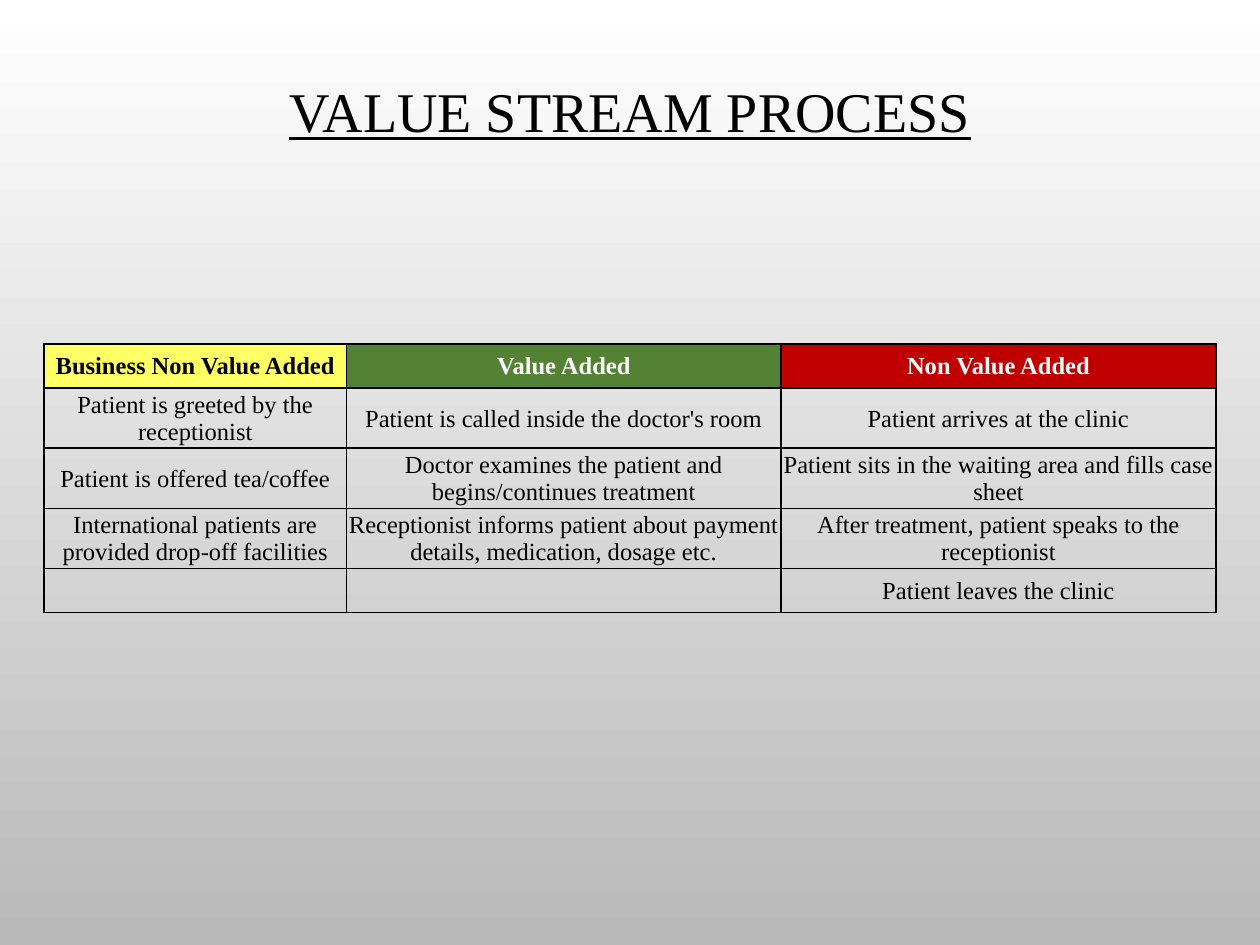
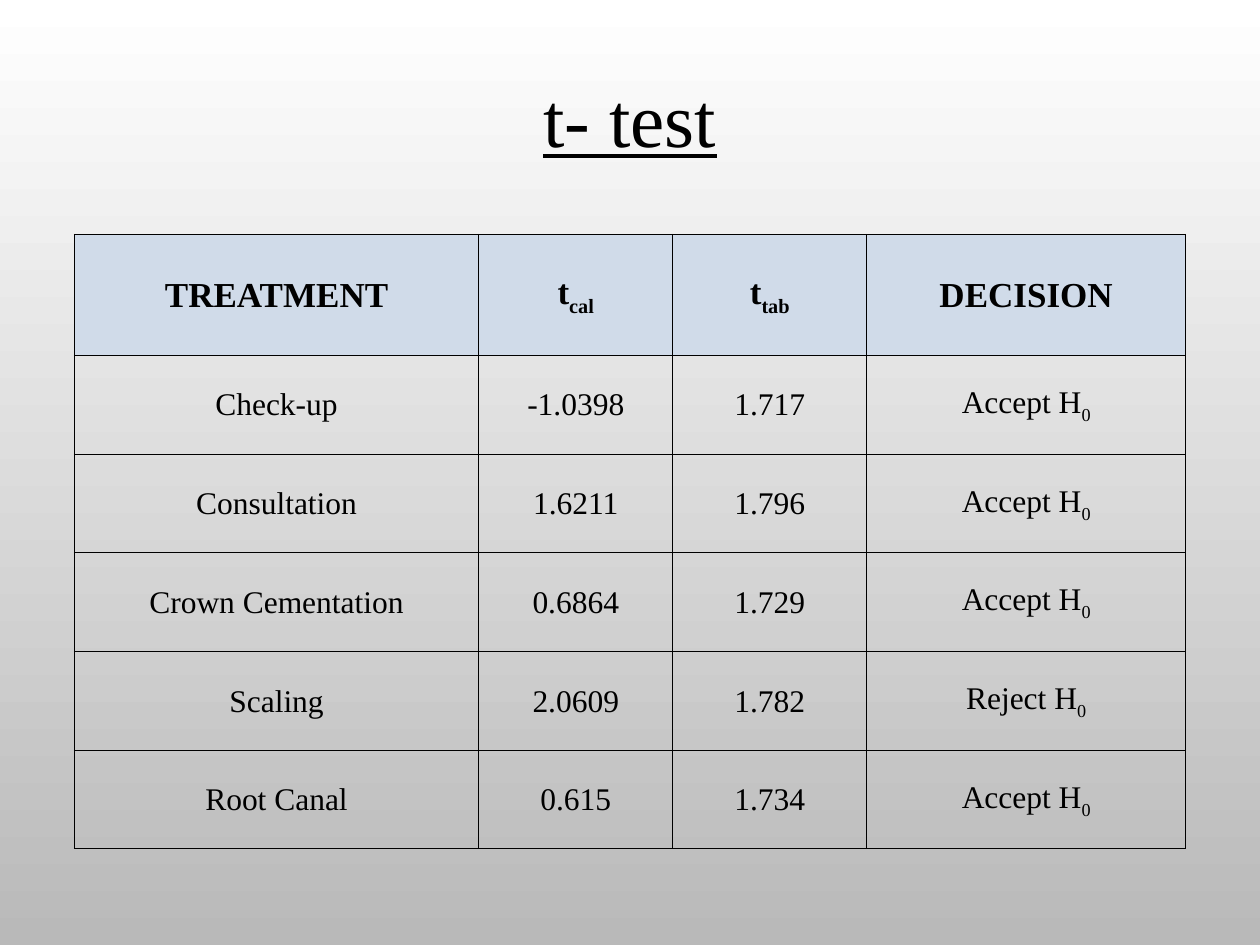
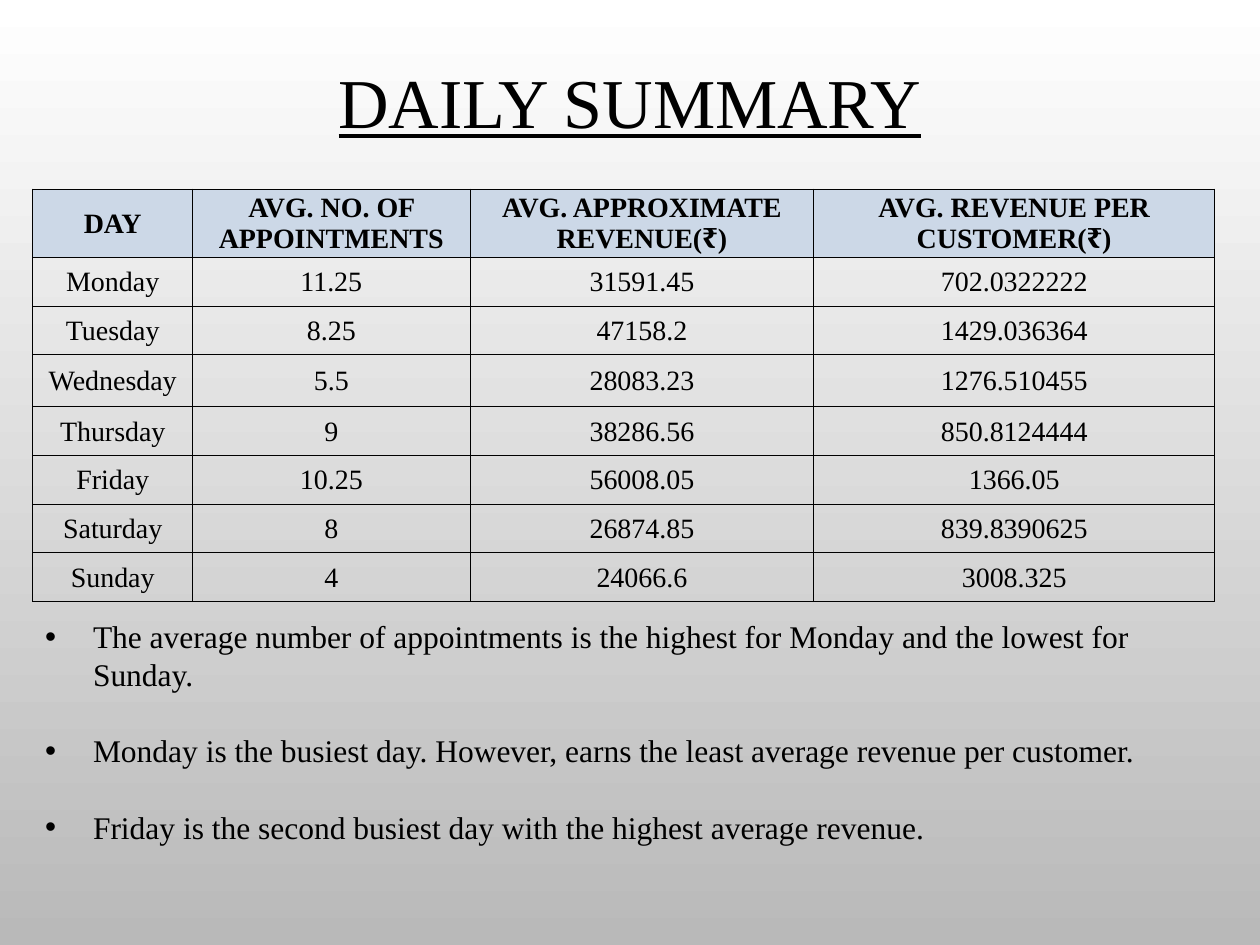
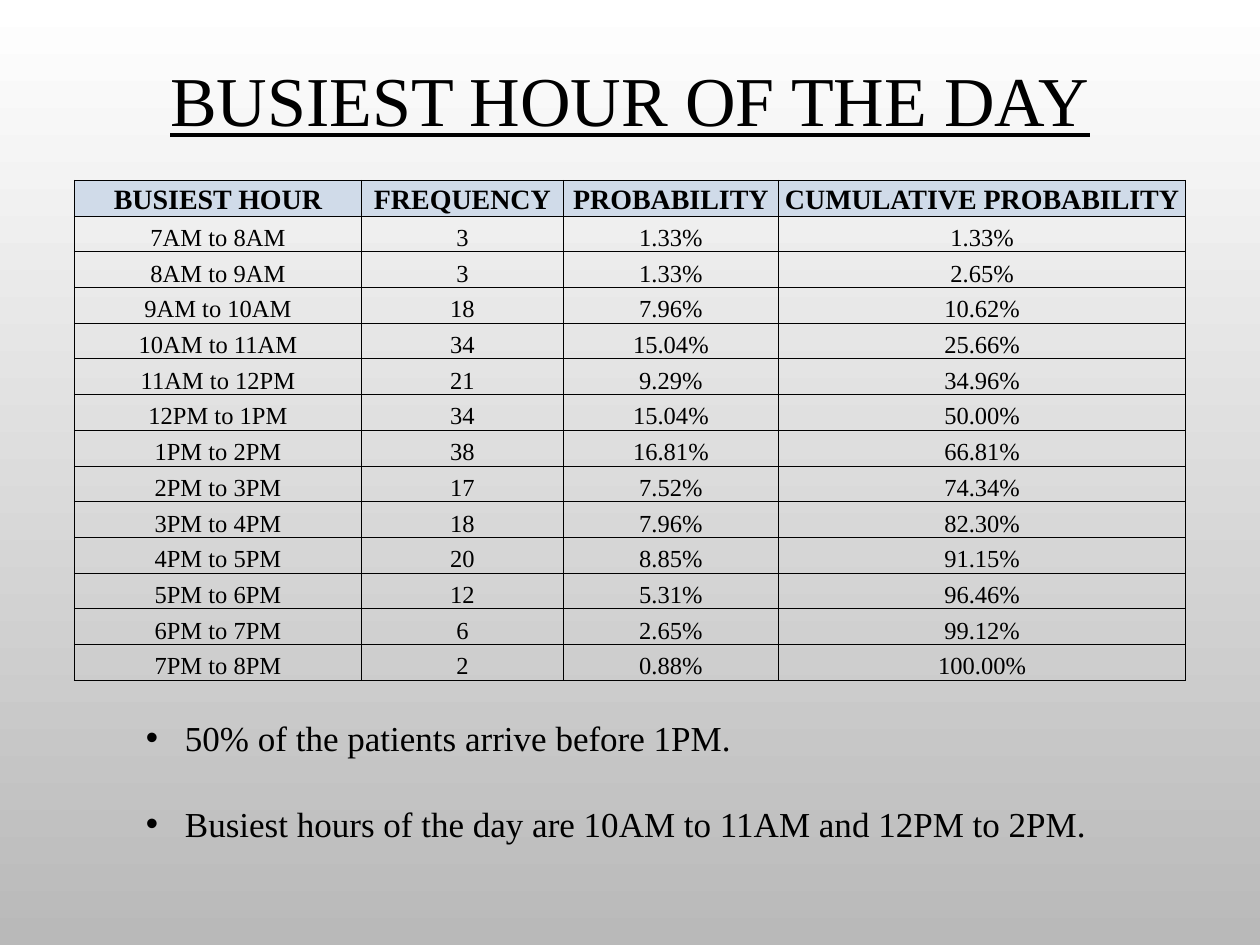
from lxml import etree
from pptx import Presentation
from pptx import util as u
from pptx.dml.color import RGBColor
from pptx.enum import text
from pptx.oxml.ns import qn

# Shared look
FONT = "Times New Roman"
BLACK = RGBColor(0x00, 0x00, 0x00)
WHITE = RGBColor(0xFF, 0xFF, 0xFF)
GREY = RGBColor(0xB9, 0xB9, 0xB9)
YELLOW = RGBColor(0xFF, 0xFF, 0x66)
GREEN = RGBColor(0x54, 0x82, 0x35)
RED = RGBColor(0xC0, 0x00, 0x00)
PALE_BLUE = RGBColor(0xD0, 0xDB, 0xE9)
SOFT_BLUE = RGBColor(0xCC, 0xD8, 0xE7)

SLIDE_WIDTH = u.Inches(10)
SLIDE_HEIGHT = u.Inches(7.5)
TITLE_HEIGHT = 16.67
MIDDLE = text.MSO_ANCHOR.MIDDLE
BOTTOM = text.MSO_ANCHOR.BOTTOM


def across(percent):
    """Length as a percentage of the slide's width."""
    return u.Emu(round(SLIDE_WIDTH * percent / 100))


def down(percent):
    """Length as a percentage of the slide's height."""
    return u.Emu(round(SLIDE_HEIGHT * percent / 100))


def set_background(master):
    fill = master.background.fill
    fill.gradient()
    fill.gradient_angle = 270
    for stop, colour in zip(fill.gradient_stops, (WHITE, GREY)):
        stop.color.rgb = colour


def format_run(run, size, colour=BLACK, bold=False, underline=False):
    font = run.font
    font.name = FONT
    font.size = u.Pt(size)
    font.color.rgb = colour
    font.bold = bold
    font.underline = underline


def add_text_box(slide, left, top, width, height):
    shape = slide.shapes.add_textbox(across(left), down(top), across(width), down(height))
    shape.text_frame.word_wrap = True
    return shape.text_frame


def add_title(slide, title, size, top, left=5, width=90, height=TITLE_HEIGHT):
    frame = add_text_box(slide, left, top, width, height)
    frame.vertical_anchor = MIDDLE
    frame.text = title
    paragraph = frame.paragraphs[0]
    paragraph.alignment = text.PP_ALIGN.CENTER
    format_run(paragraph.runs[0], size, underline=True)


def add_bullets(slide, lines, size, indent, left, top, width, height):
    frame = add_text_box(slide, left, top, width, height)
    frame.text = "\n".join(lines)
    for paragraph in frame.paragraphs:
        format_run(paragraph.runs[0], size)
        properties = paragraph._p.get_or_add_pPr()
        properties.set("marL", str(u.Inches(indent)))
        properties.set("indent", str(-u.Inches(indent)))
        if paragraph is not frame.paragraphs[-1]:
            paragraph.space_after = u.Pt(round(size * 1.23))
        etree.SubElement(properties, qn("a:buFont"), typeface="Arial")
        etree.SubElement(properties, qn("a:buChar"), char="•")


def set_borders(cell, points):
    properties = cell._tc.get_or_add_tcPr()
    for side in ("lnL", "lnR", "lnT", "lnB"):
        line = etree.SubElement(properties, qn(f"a:{side}"), w=str(u.Pt(points)))
        solid = etree.SubElement(line, qn("a:solidFill"))
        etree.SubElement(solid, qn("a:srgbClr"), val=str(BLACK))


def write_cell(cell, content, size, colour, bold):
    """Write centred text; what follows an underscore becomes a subscript."""
    paragraph = cell.text_frame.paragraphs[0]
    paragraph.alignment = text.PP_ALIGN.CENTER
    for index, part in enumerate(content.split("_")):
        if not part:
            continue
        run = paragraph.add_run()
        run.text = part
        format_run(run, size, colour, bold)
        if index:
            run._r.get_or_add_rPr().set("baseline", "-25000")


def add_table(slide, rows, left, top, columns, heights, header_size, body_size,
              header_fills, header_colours=None, border=0.5, anchor=MIDDLE):
    """Add a bordered table with a filled header row and a clear body."""
    table = slide.shapes.add_table(
        len(rows), len(columns), across(left), down(top),
        across(sum(columns)), down(sum(heights))).table
    table.first_row = table.horz_banding = False
    for column, width in zip(table.columns, columns):
        column.width = across(width)
    for row, height in zip(table.rows, heights):
        row.height = down(height)
    header_colours = header_colours or [BLACK] * len(columns)

    for row_index, row in enumerate(rows):
        is_header = row_index == 0
        for column_index, content in enumerate(row):
            cell = table.cell(row_index, column_index)
            cell.margin_left = cell.margin_right = cell.margin_top = u.Inches(0.01)
            cell.margin_bottom = 0
            cell.vertical_anchor = anchor
            set_borders(cell, border)
            if is_header:
                cell.fill.solid()
                cell.fill.fore_color.rgb = header_fills[column_index]
                write_cell(cell, content, header_size, header_colours[column_index], True)
            else:
                cell.fill.background()
                write_cell(cell, content, body_size, BLACK, False)


def build_value_stream(slide):
    add_title(slide, "VALUE STREAM PROCESS", 32, 6.93, left=18.1, width=63.8, height=9.47)
    rows = [
        ("Business Non Value Added", "Value Added", "Non Value Added"),
        ("Patient is greeted by the receptionist",
         "Patient is called inside the doctor's room",
         "Patient arrives at the clinic"),
        ("Patient is offered tea/coffee",
         "Doctor examines the patient and begins/continues treatment",
         "Patient sits in the waiting area and fills case sheet"),
        ("International patients are provided drop-off facilities",
         "Receptionist informs patient about payment details, medication, dosage etc.",
         "After treatment, patient speaks to the receptionist"),
        ("", "", "Patient leaves the clinic"),
    ]
    add_table(slide, rows, 3.5, 36.4, [24, 34.5, 34.5], [4.67] * 5, 14, 14,
              [YELLOW, GREEN, RED], [BLACK, WHITE, WHITE], border=1)


def build_t_test(slide):
    add_title(slide, "t- test", 44, 4)
    rows = [
        ("TREATMENT", "t_cal", "t_tab", "DECISION"),
        ("Check-up", "-1.0398", "1.717", "Accept H_0"),
        ("Consultation", "1.6211", "1.796", "Accept H_0"),
        ("Crown Cementation", "0.6864", "1.729", "Accept H_0"),
        ("Scaling", "2.0609", "1.782", "Reject H_0"),
        ("Root Canal", "0.615", "1.734", "Accept H_0"),
    ]
    add_table(slide, rows, 5.9, 24.8, [32.1, 15.4, 15.4, 25.3],
              [12.8] + [10.45] * 5, 20, 18, [PALE_BLUE] * 4)


def build_daily_summary(slide):
    add_title(slide, "DAILY SUMMARY", 40, 2.27)
    add_bullets(slide, [
        "The average number of appointments is the highest for Monday and the lowest for Sunday.",
        "Monday is the busiest day. However, earns the least average revenue per customer.",
        "Friday is the second busiest day with the highest average revenue.",
    ], 18, 0.38, 2.6, 64.67, 92.1, 30.13)
    rows = [
        ("DAY", "AVG. NO. OF APPOINTMENTS", "AVG. APPROXIMATE REVENUE(₹)",
         "AVG. REVENUE PER CUSTOMER(₹)"),
        ("Monday", "11.25", "31591.45", "702.0322222"),
        ("Tuesday", "8.25", "47158.2", "1429.036364"),
        ("Wednesday", "5.5", "28083.23", "1276.510455"),
        ("Thursday", "9", "38286.56", "850.8124444"),
        ("Friday", "10.25", "56008.05", "1366.05"),
        ("Saturday", "8", "26874.85", "839.8390625"),
        ("Sunday", "4", "24066.6", "3008.325"),
    ]
    heights = [6.67] + [5.15] * 2 + [5.5] + [5.15] * 4
    add_table(slide, rows, 2.6, 20, [12.7, 22, 27.3, 31.8], heights, 16, 16,
              [SOFT_BLUE] * 4)


def build_busiest_hour(slide):
    add_bullets(slide, [
        "50% of the patients arrive before 1PM.",
        "Busiest hours of the day are 10AM to 11AM and 12PM to 2PM.",
    ], 20, 0.31, 10.6, 75.2, 78.7, 14.8)
    rows = [
        ("BUSIEST HOUR", "FREQUENCY", "PROBABILITY", "CUMULATIVE PROBABILITY"),
        ("7AM to 8AM", "3", "1.33%", "1.33%"),
        ("8AM to 9AM", "3", "1.33%", "2.65%"),
        ("9AM to 10AM", "18", "7.96%", "10.62%"),
        ("10AM to 11AM", "34", "15.04%", "25.66%"),
        ("11AM to 12PM", "21", "9.29%", "34.96%"),
        ("12PM to 1PM", "34", "15.04%", "50.00%"),
        ("1PM to 2PM", "38", "16.81%", "66.81%"),
        ("2PM to 3PM", "17", "7.52%", "74.34%"),
        ("3PM to 4PM", "18", "7.96%", "82.30%"),
        ("4PM to 5PM", "20", "8.85%", "91.15%"),
        ("5PM to 6PM", "12", "5.31%", "96.46%"),
        ("6PM to 7PM", "6", "2.65%", "99.12%"),
        ("7PM to 8PM", "2", "0.88%", "100.00%"),
    ]
    add_table(slide, rows, 5.9, 19.07, [22.8, 16, 17.1, 32.3], [3.78] * len(rows),
              16, 14, [PALE_BLUE] * 4, anchor=BOTTOM)
    add_title(slide, "BUSIEST HOUR OF THE DAY", 40, 2.13)


def main():
    presentation = Presentation()
    presentation.slide_width = SLIDE_WIDTH
    presentation.slide_height = SLIDE_HEIGHT
    set_background(presentation.slide_master)
    blank = presentation.slide_layouts[6]
    for build in (build_value_stream, build_t_test, build_daily_summary, build_busiest_hour):
        build(presentation.slides.add_slide(blank))
    presentation.save("out.pptx")


if __name__ == "__main__":
    main()
